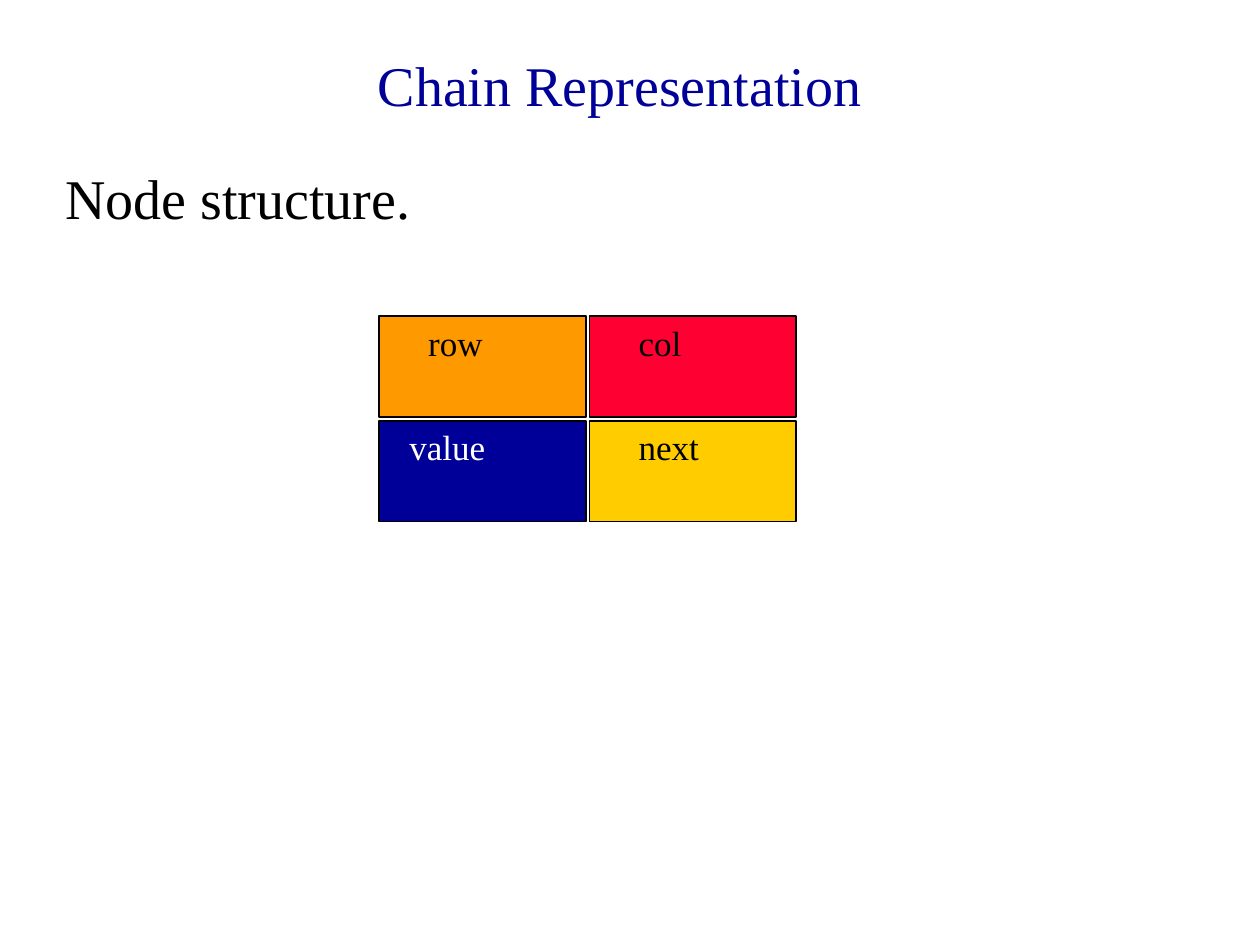
from pptx import Presentation
from pptx.dml.color import RGBColor
from pptx.enum.shapes import MSO_SHAPE
from pptx.enum.text import MSO_ANCHOR, PP_ALIGN
from pptx.util import Inches, Pt

FONT = "Times New Roman"
BLACK, WHITE, NAVY = "000000", "FFFFFF", "000099"

TITLE = "Chain Representation"
SUBTITLE = "Node structure."
# Node fields by grid row: label, fill, text colour, label indent
FIELDS = [
    [("row", "FF9900", BLACK, 0.29), ("col", "FF0033", BLACK, 0.29)],
    [("value", NAVY, WHITE, 0.14), ("next", "FFCC00", BLACK, 0.29)],
]
LEFT, TOP = 3.01, 2.51
CELL_W, CELL_H = 1.64, 0.8
GAP = 0.03
LABEL_H = 0.43


def rgb(color):
    return RGBColor.from_string(color)


def add_text(shapes, box, text, size, color, align=PP_ALIGN.LEFT, anchor=MSO_ANCHOR.TOP):
    tf = shapes.add_textbox(*map(Inches, box)).text_frame
    tf.word_wrap = True
    tf.vertical_anchor = anchor
    p = tf.paragraphs[0]
    p.alignment = align
    r = p.add_run()
    r.text = text
    r.font.name = FONT
    r.font.size = Pt(size)
    r.font.color.rgb = rgb(color)


def add_field(shapes, x, y, label, fill, color, indent):
    sp = shapes.add_shape(MSO_SHAPE.RECTANGLE, *map(Inches, (x, y, CELL_W, CELL_H)))
    sp.shadow.inherit = False
    sp.fill.solid()
    sp.fill.fore_color.rgb = rgb(fill)
    sp.line.color.rgb = rgb(BLACK)
    sp.line.width = Pt(1)
    add_text(shapes, (x + indent, y - 0.01, CELL_W + GAP - indent, LABEL_H), label, 20, color)


prs = Presentation()
prs.slide_width, prs.slide_height = Inches(10), Inches(7.5)
slide = prs.slides.add_slide(prs.slide_layouts[6])

add_text(slide.shapes, (0.67, 0, 8.5, 1.33), TITLE, 32, NAVY,
         PP_ALIGN.CENTER, MSO_ANCHOR.MIDDLE)
add_text(slide.shapes, (0.42, 1.25, 9.25, 4.75), SUBTITLE, 32, BLACK)

node = slide.shapes.add_group_shape()
for i, fields in enumerate(FIELDS):
    for j, field in enumerate(fields):
        add_field(node.shapes, LEFT + j * (CELL_W + GAP), TOP + i * (CELL_H + GAP), *field)

prs.save("out.pptx")
